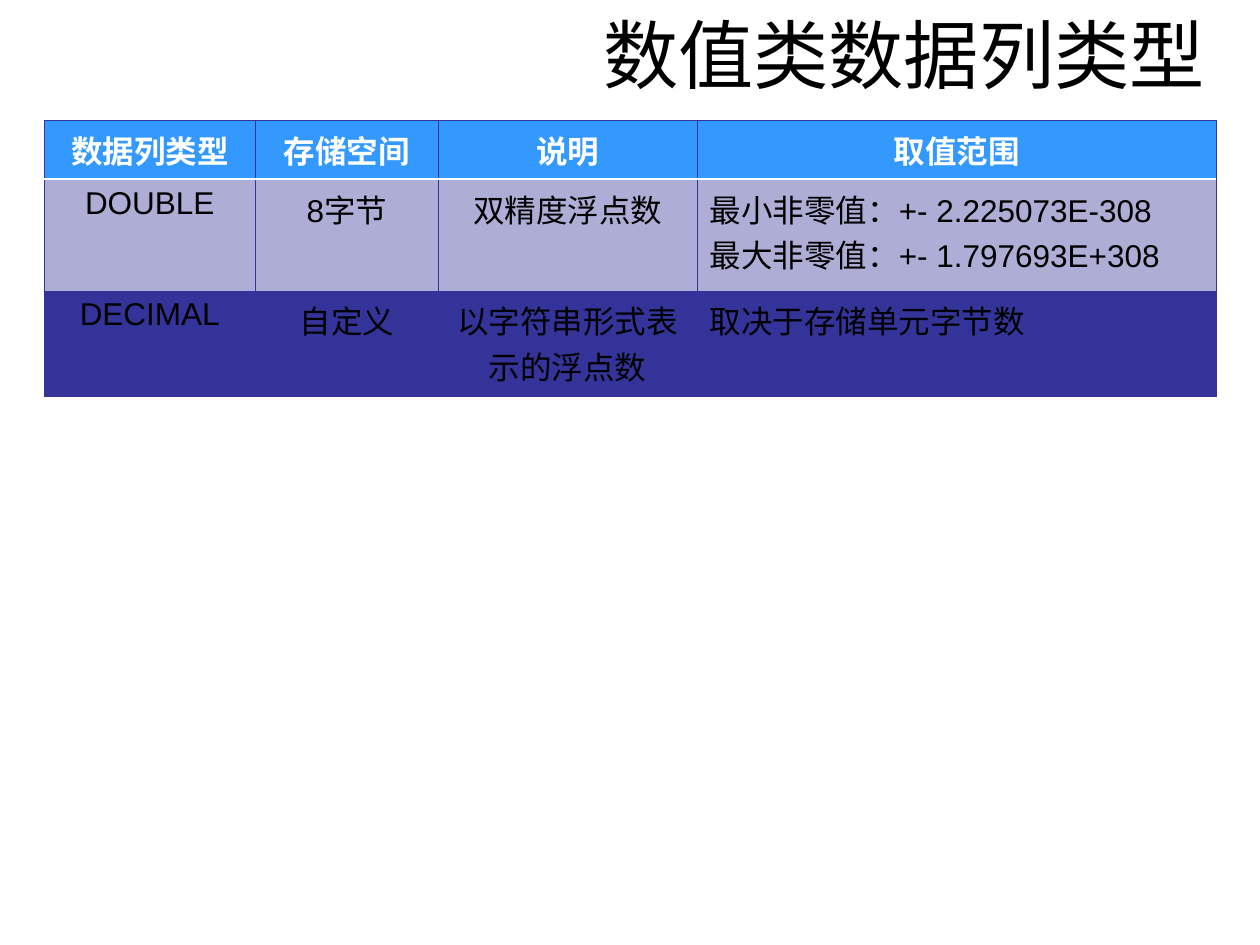
from lxml import etree
from pptx import Presentation
from pptx.dml.color import RGBColor
from pptx.enum.text import MSO_ANCHOR, PP_ALIGN
from pptx.oxml.ns import qn
from pptx.util import Pt

LEFT, CENTER, RIGHT = PP_ALIGN.LEFT, PP_ALIGN.CENTER, PP_ALIGN.RIGHT
MIDDLE = MSO_ANCHOR.MIDDLE
BLANK_LAYOUT = 6

WHITE, BLACK = "FFFFFF", "000000"
BLUE, LAVENDER, NAVY = "3399FF", "ADADD6", "333399"
GRID = (NAVY, 0.34)
HEADER_RULE = (WHITE, 0.96)

COLUMN_WIDTHS = (120.8, 104.4, 148, 296.6)
ROW_HEIGHTS = (33.4, 63.8, 60.4)
HEADINGS = ("数据列类型", "存储空间", "说明", "取值范围")
DATA_TYPES = (
    ("DOUBLE", "8字节", "双精度浮点数",
     "最小非零值：+- 2.225073E-308\n最大非零值：+- 1.797693E+308"),
    ("DECIMAL", "自定义", "以字符串形式表示的浮点数", "取决于存储单元字节数"),
)


def rgb(code):
    return RGBColor.from_string(code)


class SlideBuilder:
    latin_font = "Arial"
    chinese_font = "Noto Sans CJK SC"
    title_size = 43
    body_size = 18

    def __init__(self, slide):
        self.slide = slide

    def set_text(self, frame, text, size, color, align, latin, bold=False):
        frame.text = text
        for paragraph in frame.paragraphs:
            paragraph.alignment = align
            font = paragraph.font
            font.size, font.bold, font.name = Pt(size), bold, latin
            font.color.rgb = rgb(color)
            properties = paragraph._p.pPr.find(qn("a:defRPr"))
            etree.SubElement(properties, qn("a:ea"), typeface=self.chinese_font)

    def title(self, text, left, top, width, height):
        box = self.slide.shapes.add_textbox(Pt(left), Pt(top), Pt(width), Pt(height))
        frame = box.text_frame
        frame.word_wrap = True
        frame.vertical_anchor = MIDDLE
        self.set_text(frame, text, self.title_size, BLACK, RIGHT, self.chinese_font)

    def borders(self, cell, top, bottom):
        properties = cell._tc.get_or_add_tcPr()
        sides = (("lnL", GRID), ("lnR", GRID), ("lnT", top), ("lnB", bottom))
        for position, (side, (color, width)) in enumerate(sides):
            line = etree.Element(qn(f"a:{side}"), w=str(Pt(width)))
            fill = etree.SubElement(line, qn("a:solidFill"))
            etree.SubElement(fill, qn("a:srgbClr"), val=color)
            properties.insert(position, line)

    def table(self, left, top, widths, heights, rows, fills):
        """Draw a table whose first row is a header and last column is left-aligned."""
        table = self.slide.shapes.add_table(
            len(rows), len(widths), Pt(left), Pt(top),
            Pt(sum(widths)), Pt(sum(heights))).table
        for column, width in zip(table.columns, widths):
            column.width = Pt(width)
        for index, (row, texts) in enumerate(zip(table.rows, rows)):
            row.height = Pt(heights[index])
            header = index == 0
            for column, (cell, text) in enumerate(zip(row.cells, texts)):
                last = column == len(widths) - 1
                self.set_text(cell.text_frame, text, self.body_size,
                              WHITE if header else BLACK,
                              LEFT if last and not header else CENTER,
                              self.latin_font, bold=header)
                cell.fill.solid()
                cell.fill.fore_color.rgb = rgb(fills[index])
                self.borders(cell, HEADER_RULE if index == 1 else GRID,
                             HEADER_RULE if header else GRID)


def main():
    presentation = Presentation()
    presentation.slide_width, presentation.slide_height = Pt(720), Pt(540)
    layout = presentation.slide_layouts[BLANK_LAYOUT]
    builder = SlideBuilder(presentation.slides.add_slide(layout))
    builder.title("数值类数据列类型", 200, 6, 495.4, 49.6)
    builder.table(25.2, 69, COLUMN_WIDTHS, ROW_HEIGHTS,
                  (HEADINGS, *DATA_TYPES), (BLUE, LAVENDER, NAVY))
    presentation.save("out.pptx")


if __name__ == "__main__":
    main()
